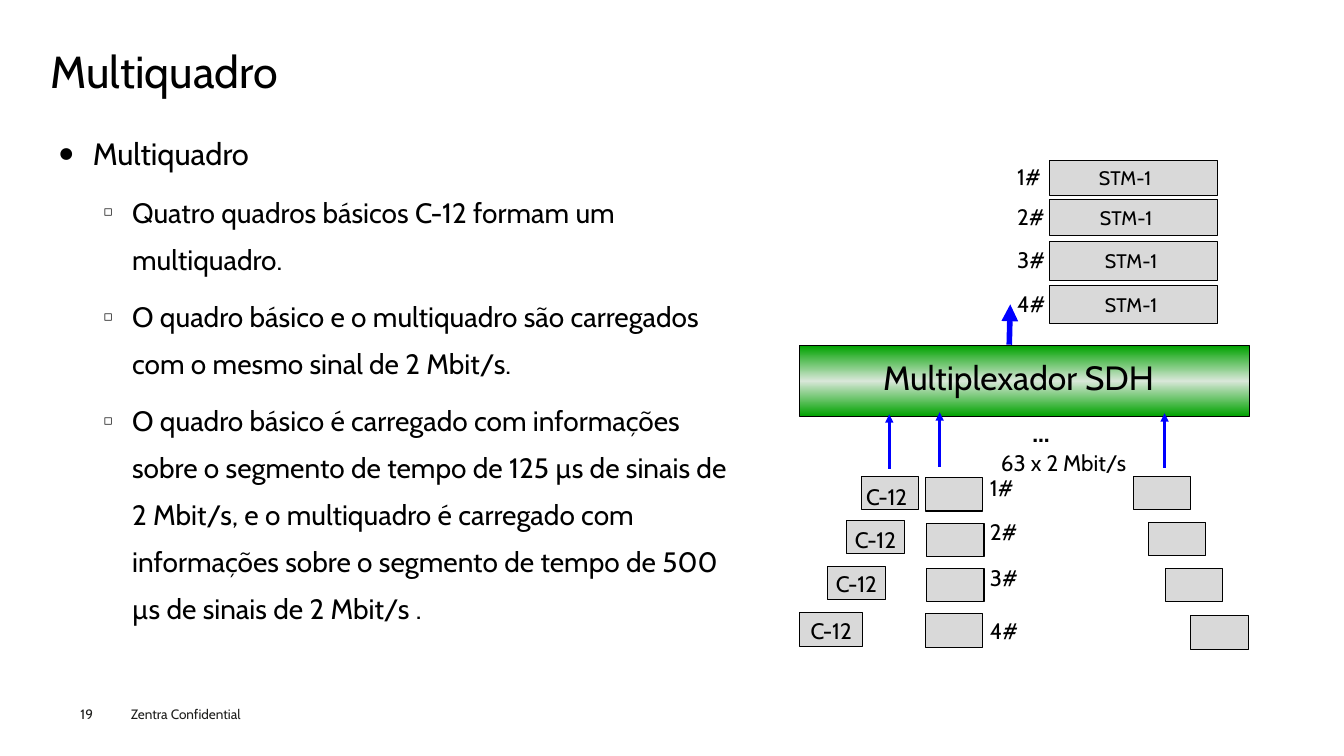
from copy import deepcopy

from lxml.etree import SubElement
from pptx import Presentation
from pptx.dml.color import RGBColor
from pptx.enum.shapes import MSO_CONNECTOR, MSO_SHAPE
from pptx.enum.text import MSO_ANCHOR, MSO_AUTO_SIZE, PP_ALIGN
from pptx.oxml.ns import qn
from pptx.util import Pt

PX = 9144
FONT = "Cabin"
BLACK = RGBColor(0x00, 0x00, 0x00)
INK = RGBColor(0x1D, 0x1D, 0x1B)
GREY = RGBColor(0xD9, 0xD9, 0xD9)
GREEN = RGBColor(0x00, 0xA2, 0x00)
PALE = RGBColor(0xD8, 0xE7, 0xD8)
BLUE = RGBColor(0x00, 0x00, 0xFF)

BULLETS = [
    "Quatro quadros básicos C-12 formam um multiquadro.",
    "O quadro básico e o multiquadro são carregados com o mesmo sinal de 2 Mbit/s.",
    "O quadro básico é carregado com informações sobre o segmento de tempo de 125 µs "
    "de sinais de 2 Mbit/s, e o multiquadro é carregado com informações sobre o "
    "segmento de tempo de 500 µs de sinais de 2 Mbit/s .",
]
STM_ROWS = [(159, 35, 49, 157), (198, 36, 50, 197), (240, 38, 55, 239), (283, 38, 55, 283)]
C12_BOXES = [(854, 473, 57, 5, 6), (840, 516, 57, 8, 6), (821, 562, 57, 8, 0), (793, 608, 62, 11, 2)]
MIDDLE_BOXES = [(918, 474, 465), (919, 519, 509), (919, 564, 555), (918, 609, 607)]
RIGHT_BOXES = [(1124, 473), (1139, 518), (1156, 564), (1181, 611)]
INPUT_ARROWS = [(882, 465, 411), (932, 463, 409), (1155, 464, 410)]


def write(p, text, size=16, color=BLACK, bold=False):
    """Add a formatted run to a paragraph."""
    r = p.add_run()
    r.text = text
    r.font.name, r.font.size, r.font.bold = FONT, Pt(size), bold
    r.font.color.rgb = color


class Deck:
    """Slide under construction together with its style."""

    def __init__(self, prs):
        """Start a title and content slide."""
        self.s = prs.slides.add_slide(prs.slide_layouts[1])

    def frame(self, sp, insets, anchor=MSO_ANCHOR.TOP):
        """Set the insets, wrapping and anchor of a text frame."""
        tf = sp.text_frame
        tf.word_wrap, tf.auto_size, tf.vertical_anchor = True, MSO_AUTO_SIZE.NONE, anchor
        tf.margin_left, tf.margin_top, tf.margin_right, tf.margin_bottom = [v * PX for v in insets]
        return tf

    def place(self, sp, x, y, w, h):
        """Move and size a placeholder."""
        sp.left, sp.top, sp.width, sp.height = [v * PX for v in (x, y, w, h)]

    def title(self, text, *box):
        """Fill the title placeholder."""
        sp = self.s.shapes.title
        self.place(sp, *box)
        p = self.frame(sp, (0, 0, 0, 0)).paragraphs[0]
        p.alignment, p.line_spacing = PP_ALIGN.LEFT, 0.9
        write(p, text, size=32)

    def body(self, heading, items, *box):
        """Fill the body placeholder with a heading and its items."""
        sp = self.s.placeholders[1]
        self.place(sp, *box)
        tf = self.frame(sp, (9, 4, 9, 4))
        p = tf.paragraphs[0]
        self.bullet(p, "●", 33, 33)
        p.alignment, p.space_before = PP_ALIGN.JUSTIFY, Pt(0)
        write(p, heading, size=22)
        for item in items:
            p = tf.add_paragraph()
            p.level = 1
            self.bullet(p, "◻", 72, 28)
            p.alignment, p.space_before = PP_ALIGN.LEFT, Pt(7.2)
            write(p, item, size=20)

    def bullet(self, p, char, left, hang):
        """Give a paragraph a half-size bullet and a hanging indent."""
        pPr = p._p.get_or_add_pPr()
        pPr.set("marL", str(left * PX))
        pPr.set("indent", str(-hang * PX))
        SubElement(pPr, qn("a:buSzPct"), val="50000")
        SubElement(pPr, qn("a:buFont"), typeface=FONT)
        SubElement(pPr, qn("a:buChar"), char=char)
        p.line_spacing = 1.4

    def label(self, text, x, y, w=50, h=37, **style):
        """Add a text box."""
        sp = self.s.shapes.add_textbox(x * PX, y * PX, w * PX, h * PX)
        write(self.frame(sp, (10, 5, 0, 5)).paragraphs[0], text, **style)

    def box(self, x, y, w=57, h=33, text="", insets=(0, 0, 0, 0), **style):
        """Add an outlined grey rectangle."""
        sp = self.s.shapes.add_shape(MSO_SHAPE.RECTANGLE, x * PX, y * PX, w * PX, h * PX)
        sp.shadow.inherit = False
        sp.fill.solid()
        sp.fill.fore_color.rgb = GREY
        sp.line.color.rgb, sp.line.width = BLACK, Pt(0.75)
        if text:
            p = self.frame(sp, insets, MSO_ANCHOR.MIDDLE).paragraphs[0]
            p.alignment = PP_ALIGN.LEFT
            write(p, text, **style)
        return sp

    def gradient_box(self, *box, **text):
        """Add a rectangle that shades from green to pale and back."""
        fill = self.box(*box, **text).fill
        fill.gradient()
        fill.gradient_angle = 90
        first = fill._xPr.find(qn("a:gradFill")).find(qn("a:gsLst"))[0]
        first.addnext(deepcopy(first))
        for stop, place, color in zip(fill.gradient_stops, (0, 0.5, 1), (GREEN, PALE, GREEN)):
            stop.position, stop.color.rgb = place, color

    def arrow(self, x1, y1, x2, y2, width=2):
        """Add a blue arrow."""
        c = self.s.shapes.add_connector(MSO_CONNECTOR.STRAIGHT, x1 * PX, y1 * PX, x2 * PX, y2 * PX)
        c.line.color.rgb, c.line.width = BLUE, Pt(width)
        SubElement(c.line._get_or_add_ln(), qn("a:tailEnd"), type="triangle")
        SubElement(c._element.spPr, qn("a:effectLst"))


def main():
    """Build and save the slide."""
    prs = Presentation()
    prs.slide_width, prs.slide_height = 1333 * PX, 750 * PX
    deck = Deck(prs)
    deck.title("Multiquadro", 50, 49, 1235, 54)
    deck.body("Multiquadro", BULLETS, 50, 115, 700, 533)
    deck.label("19", 70, 695, 50, 27, size=9.7, color=INK)
    deck.label("Zentra Confidential", 120, 695, 160, 27, size=9.7, color=INK)

    for n, (y, h, inset, label_y) in enumerate(STM_ROWS, 1):
        deck.box(1041, y, 167, h, "STM-1", (inset, 0, 0, 0), size=14)
        deck.label(f"{n}#", 999, label_y)
    deck.gradient_box(793, 343, 446, 70, text="Multiplexador SDH", insets=(83, 0, 0, 7), size=24)
    for x, y, w, left, top in C12_BOXES:
        deck.box(x, y, w, text="C-12", insets=(left, top, 0, 0))
    for n, (x, y, label_y) in enumerate(MIDDLE_BOXES, 1):
        deck.box(x, y)
        deck.label(f"{n}#", 972, label_y)
    for x, y in RIGHT_BOXES:
        deck.box(x, y)
    deck.label("63 x 2 Mbit/s", 983, 441, 150)
    deck.label("...", 1014, 409, 100, 41, size=18, bold=True)
    deck.arrow(1001, 342, 1002, 302, width=4)
    for x, start, end in INPUT_ARROWS:
        deck.arrow(x, start, x, end)
    prs.save("out.pptx")


if __name__ == "__main__":
    main()
